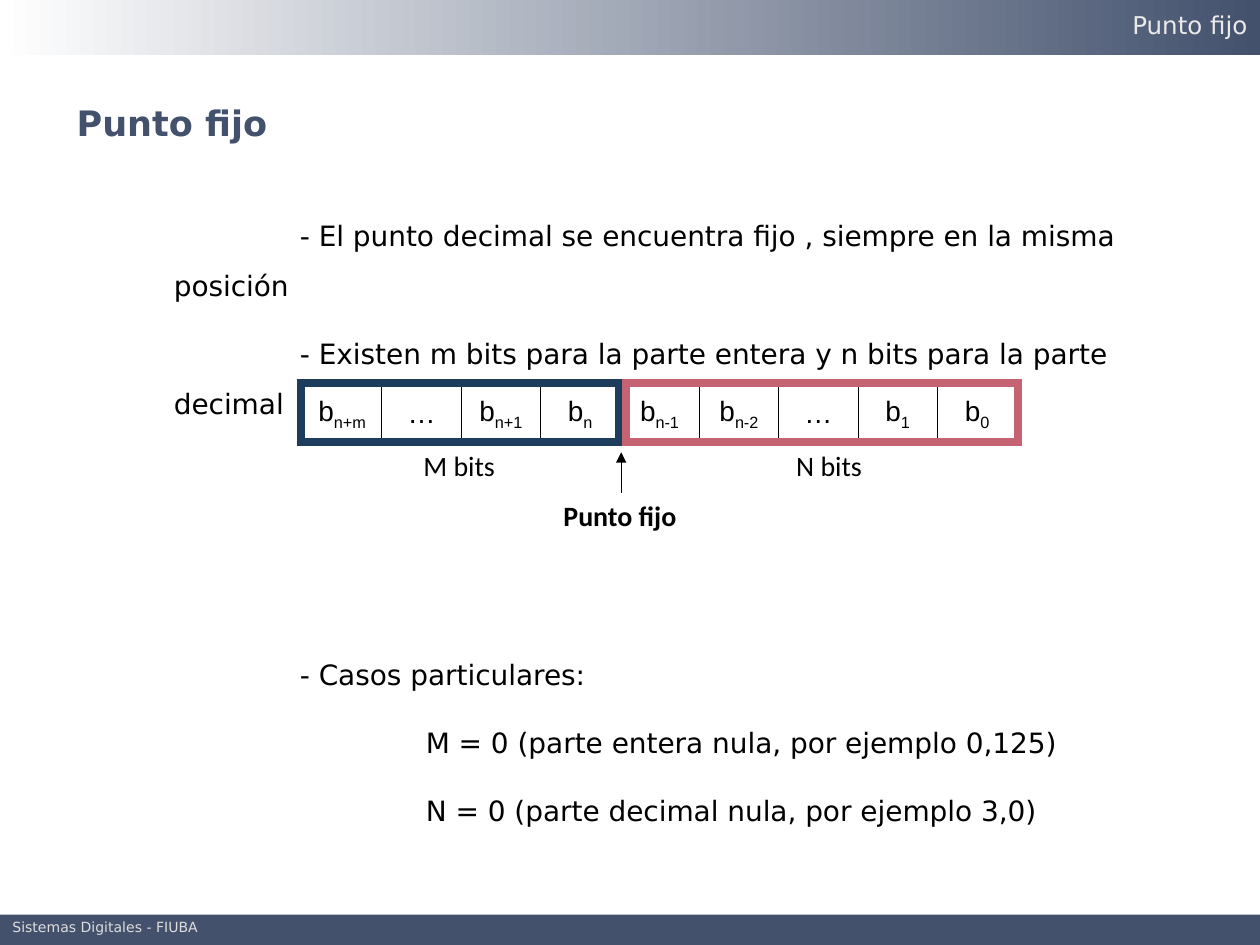
import pptx
import pptx.dml.color
import pptx.enum.shapes
import pptx.enum.text
import pptx.oxml
import pptx.oxml.ns
import pptx.util
from pptx.util import Inches

COLORS = {"slate": "43516D", "white": "FFFFFF", "black": "000000", "footer": "DDDDDD",
          "header": "EAEAEA", "integer": "1E3D5C", "fraction": "C56373"}
ALIGN = pptx.enum.text.PP_ALIGN
RECTANGLE = pptx.enum.shapes.MSO_SHAPE.RECTANGLE


def rgb(name):
    """Return the named colour."""
    return pptx.dml.color.RGBColor.from_string(COLORS[name])


def drawing_xml(tag, content="", attributes=""):
    """Return a DrawingML element."""
    namespace = pptx.oxml.ns.nsdecls("a")
    return pptx.oxml.parse_xml(f"<a:{tag} {namespace} {attributes}>{content}</a:{tag}>")


def write(paragraph, text, font="DejaVu Sans", size=16, color="black", bold=False,
          align=ALIGN.LEFT, before=0, spacing=1.0):
    """Write formatted text, with anything after an underscore as a subscript."""
    paragraph.alignment = align
    paragraph.space_before = pptx.util.Pt(before)
    paragraph.line_spacing = spacing
    base, _, subscript = text.partition("_")
    for part in filter(None, (base, subscript)):
        run = paragraph.add_run()
        run.text = part
        run.font.name = font
        run.font.size = pptx.util.Pt(size)
        run.font.bold = bold
        run.font.color.rgb = rgb(color)
    if subscript:
        run.font._element.set("baseline", "-25000")


def add_text(slide, left, top, width, height, text, wrap=True, **style):
    """Add a one-paragraph text box."""
    frame = slide.shapes.add_textbox(
        Inches(left), Inches(top), Inches(width), Inches(height)).text_frame
    frame.word_wrap = wrap
    write(frame.paragraphs[0], text, **style)


def add_box(slide, left, top, width, height):
    """Add a rectangle without shadow, fill or line."""
    box = slide.shapes.add_shape(
        RECTANGLE, Inches(left), Inches(top), Inches(width), Inches(height))
    box.shadow.inherit = False
    box.fill.background()
    box.line.fill.background()
    return box


def add_header(slide, left, top, width, height):
    """Add the gradient band with the section name."""
    band = add_box(slide, left, top, width, height)
    band.fill.gradient()
    band.fill.gradient_angle = 0
    for stop, position, color in zip(band.fill.gradient_stops, (0, 1), ("white", "slate")):
        stop.position = position
        stop.color.rgb = rgb(color)
    add_text(slide, left + 0.08, top + 0.03, width - 0.08, 0.34, "Punto fijo",
             size=14, color="header", align=ALIGN.RIGHT, before=8.8)


def add_footer(slide, left, top, width, height):
    """Add the footer band with the course name."""
    band = add_box(slide, left, top, width, height)
    band.fill.solid()
    band.fill.fore_color.rgb = rgb("slate")
    add_text(slide, left, top + 0.02, 2.87, 0.2, "Sistemas Digitales - FIUBA",
             size=8, color="footer", before=5, spacing=0.7)


def add_explanation(slide, left, top, width, height):
    """Add the statements, each with its first-line indent and space before."""
    statements = [
        ("- El punto decimal se encuentra fijo , siempre en la misma posición", 1, 10),
        ("- Existen m bits para la parte entera y n bits para la parte decimal", 1, 10),
        ("- Casos particulares:", 1, 126),
        ("M = 0 (parte entera nula, por ejemplo 0,125)", 2, 10),
        ("N = 0 (parte decimal nula, por ejemplo 3,0)", 2, 10),
    ]
    frame = slide.shapes.add_textbox(
        Inches(left), Inches(top), Inches(width), Inches(height)).text_frame
    frame.word_wrap = True
    frame.margin_left = frame.margin_right = Inches(0.14)
    frame.margin_top, frame.margin_bottom = Inches(0.13), Inches(0.17)
    for index, (statement, indent, before) in enumerate(statements):
        paragraph = frame.add_paragraph() if index else frame.paragraphs[0]
        write(paragraph, statement, before=before, spacing=1.5)
        properties = paragraph._p.get_or_add_pPr()
        properties.set("marL", str(Inches(0.81)))
        properties.set("indent", str(Inches(indent)))


def add_bits(slide, left, top, width, heights):
    """Add the row of bit cells above an open row."""
    bits = ["b_n+m", "…", "b_n+1", "b_n", "b_n-1", "b_n-2", "…", "b_1", "b_0"]
    word = slide.shapes.add_table(len(heights), len(bits), Inches(left), Inches(top),
                                  Inches(width), Inches(sum(heights))).table
    word.first_row = word.horz_banding = False
    for row, height in zip(word.rows, heights):
        row.height = Inches(height)
    solid = f'<a:solidFill><a:srgbClr val="{COLORS["black"]}"/></a:solidFill>'
    for index, cell in enumerate(word.iter_cells()):
        bordered = ("lnT",)
        cell.margin_top = cell.margin_bottom = 0
        if index < len(bits):
            bordered = ("lnL", "lnR", "lnT", "lnB")
            cell.vertical_anchor = pptx.enum.text.MSO_ANCHOR.MIDDLE
            write(cell.text_frame.paragraphs[0], bits[index], font="Arial",
                  align=ALIGN.CENTER, before=4)
        for side in ("lnL", "lnR", "lnT", "lnB"):
            cell._tc.get_or_add_tcPr().append(drawing_xml(
                side, solid if side in bordered else "<a:noFill/>",
                f'w="{pptx.util.Pt(0.45)}"'))
        cell.fill.background()


def add_part(slide, left, top, width, height, label, label_left, label_width, color):
    """Frame one part of the word and label it underneath."""
    outline = add_box(slide, left, top, width, height)
    outline.line.color.rgb = rgb(color)
    outline.line.width = pptx.util.Pt(4.5)
    outline.line._get_or_add_ln().append(drawing_xml("miter", attributes='lim="800000"'))
    add_text(slide, left + label_left, top + height, label_width, 0.37,
             label, wrap=False, font="Calibri", align=ALIGN.CENTER)


def add_point(slide, left, top, width, height):
    """Add the arrow that marks the fixed point, with its label."""
    center = Inches(left + 0.56)
    arrow = slide.shapes.add_connector(
        pptx.enum.shapes.MSO_CONNECTOR.STRAIGHT,
        center, Inches(top), center, Inches(top + height - 0.37))
    arrow.line.color.rgb = rgb("black")
    arrow.line.width = pptx.util.Pt(0.75)
    arrow.line._get_or_add_ln().append(drawing_xml("headEnd", attributes='type="triangle"'))
    arrow._element.spPr.append(drawing_xml("effectLst"))
    add_text(slide, left, top + height - 0.37, width, 0.37, "Punto fijo", wrap=False,
             font="Calibri", bold=True, align=ALIGN.CENTER)


def add_word_diagram(slide, left, top):
    """Add the bit cells, their two parts and the fixed point."""
    add_bits(slide, left + 0.01, top, 5.67, (0.49, 0.27))
    add_point(slide, left + 1.98, top + 0.55, 1.1, 0.69)
    add_part(slide, left, top, 2.52, 0.47, "M bits", 0.87, 0.77, "integer")
    add_part(slide, left + 2.58, top, 3.11, 0.47, "N bits", 1.25, 0.72, "fraction")


def main():
    """Build and save the slide."""
    deck = pptx.Presentation()
    deck.slide_width, deck.slide_height = Inches(10), Inches(7.5)
    slide = deck.slides.add_slide(deck.slide_layouts[6])
    add_explanation(slide, 0.43, 1.47, 9.14, 5.06)
    add_footer(slide, 0, 7.26, 10, 0.24)
    add_word_diagram(slide, 2.39, 3.04)
    add_text(slide, 0.51, 0.76, 6.93, 0.44, "Punto fijo",
             size=20, color="slate", bold=True, before=12.5)
    add_header(slide, 0, 0, 10, 0.44)
    deck.save("out.pptx")


if __name__ == "__main__":
    main()
